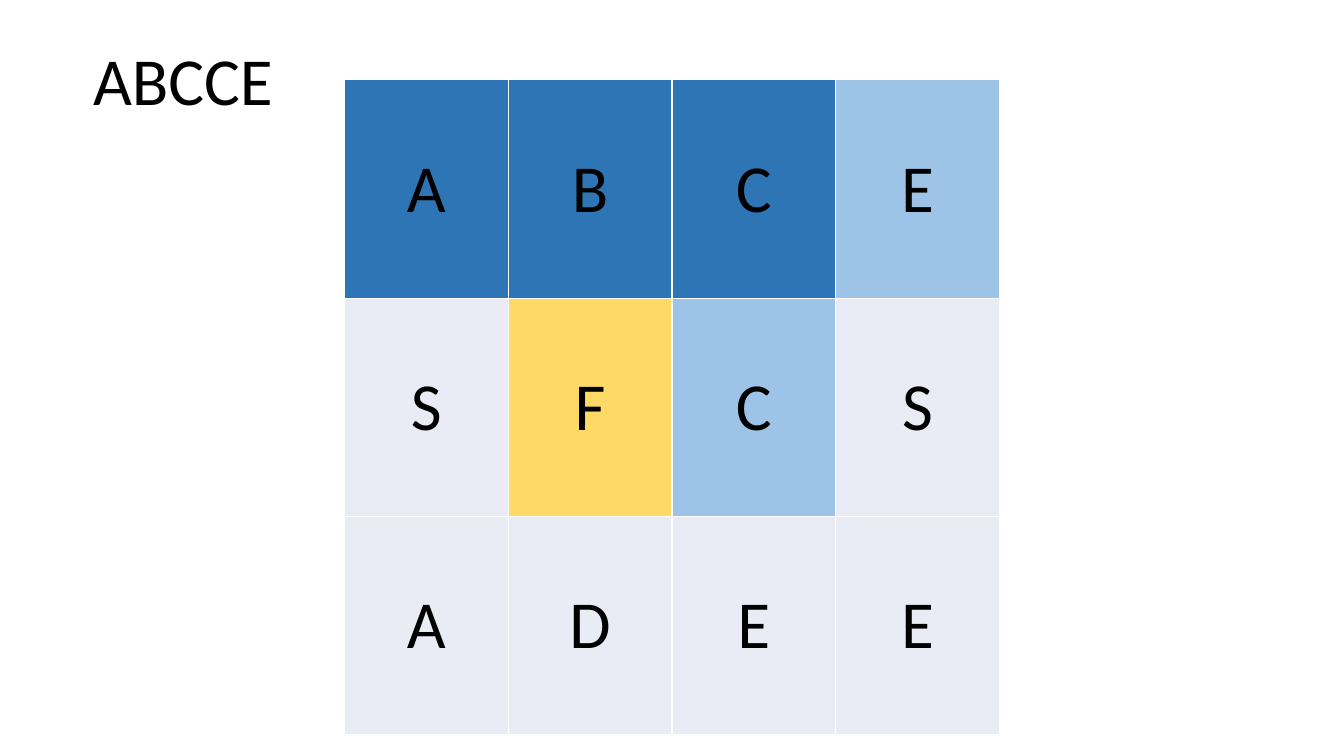
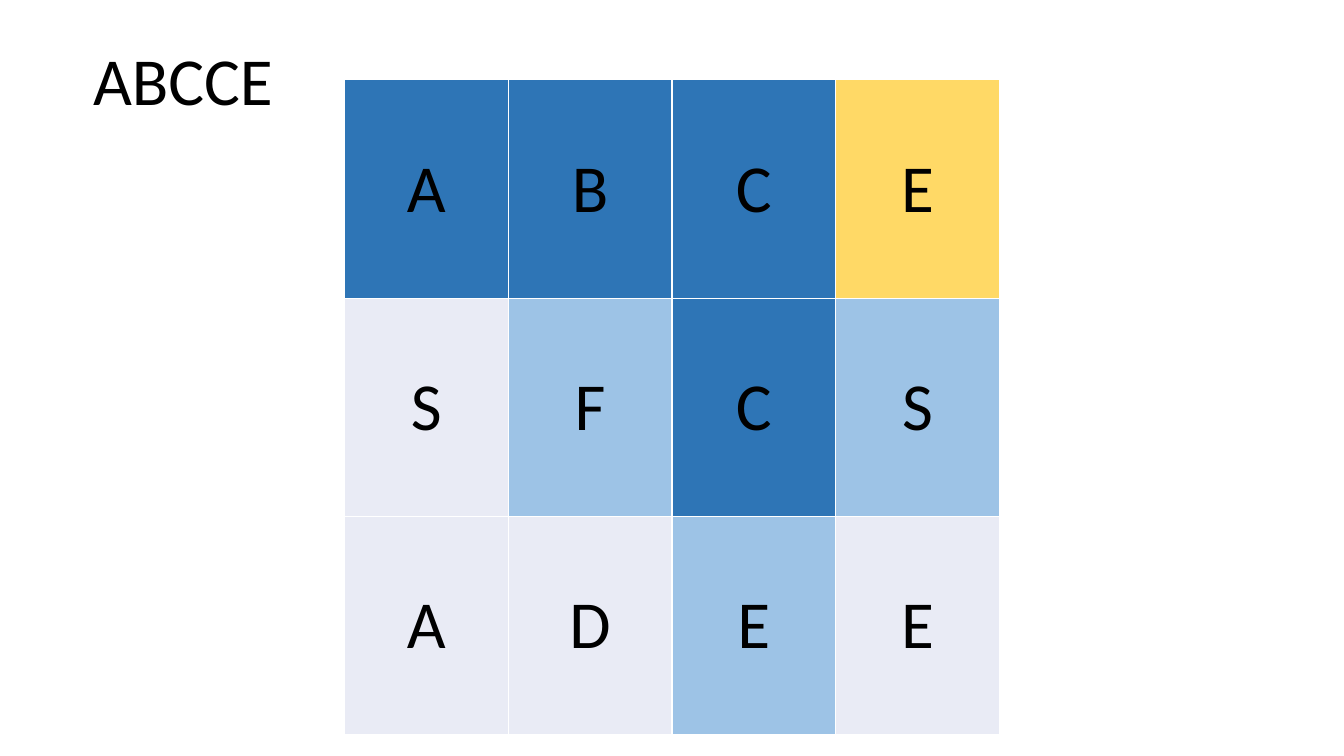
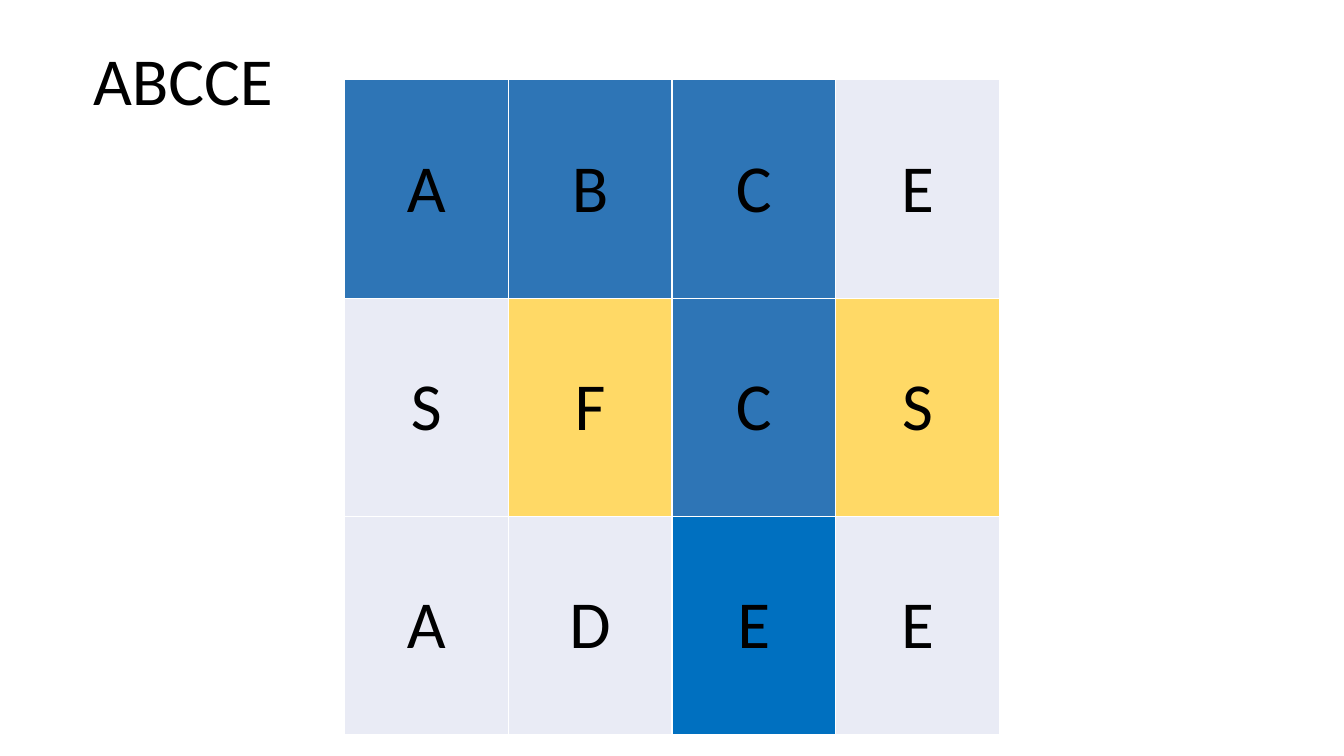
"""Build three slides that trace the word ABCCE through a letter board."""
import dataclasses

import pptx
import pptx.dml.color
import pptx.enum.text
import pptx.oxml
import pptx.oxml.ns
import pptx.util

EMU_PER_PX = 9525
WORD = "ABCCE"
LETTERS = ("ABCE", "SFCS", "ADEE")
SEARCH_STEPS = (
    ("###+", ".xo.".replace("o", "+"), "...."),
    ("###x", ".+#+", "..+."),
    ("###.", ".x#x", "..!."),
)


@dataclasses.dataclass(frozen=True)
class Theme:
    """Hold the colours and type of the deck."""
    font: str = "Calibri"
    size: int = 48
    ink: str = "000000"
    grid: str = "FFFFFF"
    grid_pt: int = 1
    idle: str = "E9EBF5"
    visited: str = "2E75B6"
    candidate: str = "9DC3E6"
    rejected: str = "FFD966"
    found: str = "0070C0"

    def state_fill(self, mark):
        """Return the fill for a cell's state mark."""
        return {".": self.idle, "#": self.visited, "+": self.candidate,
                "x": self.rejected, "!": self.found}[mark]


THEME = Theme()


def px(length):
    """Turn whole px into EMU."""
    return pptx.util.Emu(length * EMU_PER_PX)


def rgb(colour):
    """Turn a hex string into a colour."""
    return pptx.dml.color.RGBColor.from_string(colour)


def apply_format(target, values):
    """Set each attribute named in a dict of format values."""
    for name, value in values.items():
        setattr(target, name, value)


def write_text(frame, text, alignment):
    """Write one paragraph in the deck's type."""
    frame.text = text
    paragraph = frame.paragraphs[0]
    paragraph.alignment = alignment
    font = paragraph.runs[0].font
    apply_format(font, {"name": THEME.font, "size": pptx.util.Pt(THEME.size), "bold": False})
    font.color.rgb = rgb(THEME.ink)


def draw_grid_lines(cell):
    """Give a cell a line on all four sides."""
    properties = cell._tc.get_or_add_tcPr()
    width = pptx.util.Pt(THEME.grid_pt)
    for side in ("lnL", "lnR", "lnT", "lnB"):
        properties.append(pptx.oxml.parse_xml(
            f'<a:{side} {pptx.oxml.ns.nsdecls("a")} w="{width}"><a:solidFill>'
            f'<a:srgbClr val="{THEME.grid}"/></a:solidFill></a:{side}>'))


def add_word(slide):
    """Place the searched word in the title placeholder."""
    word = slide.shapes.title
    apply_format(word, {"left": px(79), "top": px(32), "width": px(328), "height": px(87)})
    apply_format(word.text_frame, {
        "word_wrap": True,
        "auto_size": pptx.enum.text.MSO_AUTO_SIZE.SHAPE_TO_FIT_TEXT,
        "vertical_anchor": pptx.enum.text.MSO_ANCHOR.TOP})
    write_text(word.text_frame, WORD, pptx.enum.text.PP_ALIGN.LEFT)


def add_board(slide, states):
    """Draw the letter board with each cell filled by its state."""
    board = slide.shapes.add_table(
        len(LETTERS), len(LETTERS[0]), px(328), px(76), px(624), px(624)).table
    apply_format(board, {"first_row": False, "horz_banding": False})
    for row, (letters, marks) in enumerate(zip(LETTERS, states)):
        for column, (letter, mark) in enumerate(zip(letters, marks)):
            cell = board.cell(row, column)
            cell.vertical_anchor = pptx.enum.text.MSO_ANCHOR.MIDDLE
            draw_grid_lines(cell)
            cell.fill.solid()
            cell.fill.fore_color.rgb = rgb(THEME.state_fill(mark))
            write_text(cell.text_frame, letter, pptx.enum.text.PP_ALIGN.CENTER)


def main():
    """Build and save the deck."""
    deck = pptx.Presentation()
    apply_format(deck, {"slide_width": px(1280), "slide_height": px(720)})
    title_only = deck.slide_layouts.get_by_name("Title Only")
    for states in SEARCH_STEPS:
        slide = deck.slides.add_slide(title_only)
        add_word(slide)
        add_board(slide, states)
    deck.save("out.pptx")


if __name__ == "__main__":
    main()
